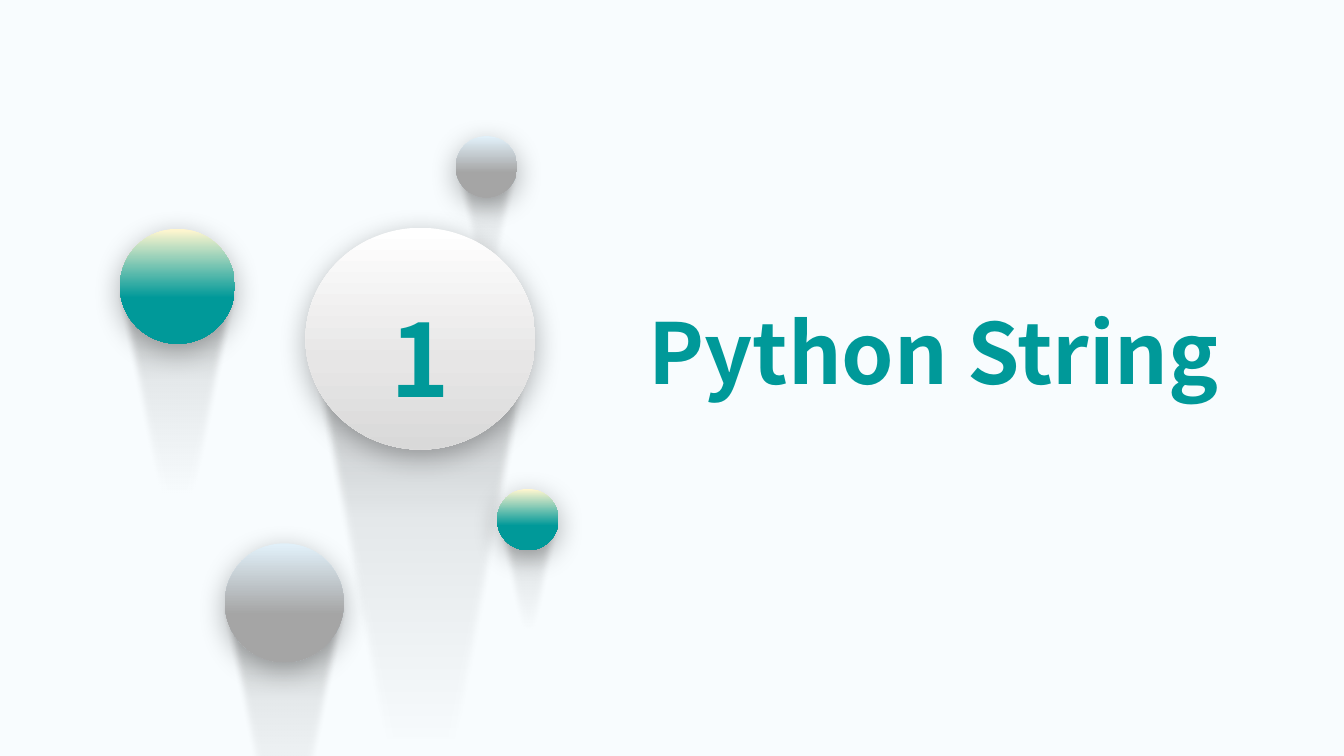
from lxml import etree
from pptx import Presentation
from pptx.dml.color import RGBColor
from pptx.enum.shapes import MSO_SHAPE
from pptx.enum.text import MSO_ANCHOR, MSO_AUTO_SIZE, PP_ALIGN
from pptx.oxml import parse_xml
from pptx.oxml.ns import nsdecls, qn
from pptx.util import Inches, Pt

OVAL = MSO_SHAPE.OVAL
CENTER = PP_ALIGN.CENTER
MIDDLE, BOTTOM = MSO_ANCHOR.MIDDLE, MSO_ANCHOR.BOTTOM
GROW = MSO_AUTO_SIZE.SHAPE_TO_FIT_TEXT

FONT = "Noto Sans CJK SC"
PAPER = RGBColor(0xF8, 0xFC, 0xFE)
TEAL = RGBColor(0x00, 0x99, 0x99)
CREAM = RGBColor(0xFF, 0xF6, 0xCF)
GRAY = RGBColor(0xA5, 0xA5, 0xA5)
ICE = RGBColor(0xE1, 0xF0, 0xF9)
WHITE = RGBColor(0xFF, 0xFF, 0xFF)
PEARL = RGBColor(0xE7, 0xE6, 0xE6)
SILVER = RGBColor(0xD9, 0xD9, 0xD9)
BLACK = RGBColor(0x00, 0x00, 0x00)
COAL = RGBColor(0x26, 0x26, 0x26)

TEAL_BALL = [(1, CREAM, 100), (60, TEAL, 100), (100, TEAL, 100)]
GRAY_BALL = [(1, ICE, 100), (60, GRAY, 100), (100, GRAY, 100)]
MAIN_BALL = [(0, WHITE, 100), (60, PEARL, 100), (100, SILVER, 100)]
FADE = [(30, BLACK, 0), (50, BLACK, 4), (70, BLACK, 8), (100, COAL, 30)]

RISE = [(0.17, 0.67), (0.46, -0.02), (0.5, 0)]
FALL = [(0.54, -0.02), (0.83, 0.67), (1, 1)]

BALLS = [
    ((4.52, 1.35, 0.61, 0.61), (4.49, 1.66, 0.68, 1.66), GRAY_BALL, ""),
    ((3.03, 2.26, 2.28, 2.2), (3.02, 3.35, 2.3, 5.94), MAIN_BALL, "1"),
    ((2.23, 5.39, 1.18, 1.18), (2.17, 5.98, 1.31, 3.2), GRAY_BALL, ""),
    ((4.93, 4.85, 0.61, 0.61), (4.9, 5.16, 0.68, 1.66), TEAL_BALL, ""),
    ((1.19, 2.27, 1.14, 1.14), (1.13, 2.85, 1.26, 3.09), TEAL_BALL, ""),
]


def paint(shape, stops):
    shape.line.fill.background()
    shape.shadow.inherit = False
    shape.fill.background()
    marks = "".join(
        f'<a:gs pos="{pos * 1000}"><a:srgbClr val="{color}">'
        f'<a:alpha val="{alpha * 1000}"/></a:srgbClr></a:gs>'
        for pos, color, alpha in stops)
    grad = parse_xml(
        f'<a:gradFill {nsdecls("a")} rotWithShape="1"><a:gsLst>{marks}</a:gsLst>'
        '<a:lin ang="5400000" scaled="0"/></a:gradFill>')
    props = shape._element.spPr
    props.replace(props.find(qn("a:noFill")), grad)
    return props.find(qn("a:effectLst"))


def style(frame, size):
    for para in frame.paragraphs:
        para.alignment = CENTER
        for run in para.runs:
            run.font.name = FONT
            run.font.size = Pt(size)
            run.font.bold = True
            run.font.color.rgb = TEAL
            face = etree.SubElement(run.font._element, qn("a:ea"))
            face.set("typeface", FONT)


def curve(shape, bends):
    lines = list(shape._element.iter(qn("a:lnTo")))
    for line, bend in zip(lines, bends):
        arc = etree.Element(qn("a:cubicBezTo"))
        for x, y in bend:
            etree.SubElement(arc, qn("a:pt"), x=str(round(x * shape.width)),
                             y=str(round(y * shape.height)))
        line.getparent().replace(line, arc)


def add_tail(group, box):
    left, top, width, height = map(Inches, box)
    base = top + height
    pen = group.shapes.build_freeform(left, base)
    pen.add_line_segments(
        [(left + width // 2, top), (left + width, base), (left, base)], close=True)
    tail = pen.convert_to_shape()
    curve(tail, [RISE, FALL])
    tail.rotation = 180
    effect = paint(tail, FADE)
    etree.SubElement(effect, qn("a:softEdge"), rad=str(Pt(5)))


def add_ball(group, box, stops, label):
    ball = group.shapes.add_shape(OVAL, *map(Inches, box))
    effect = paint(ball, stops)
    effect.append(parse_xml(
        f'<a:outerShdw {nsdecls("a")} blurRad="{Pt(20)}" dist="{Pt(5)}" '
        'dir="5400000" algn="t" rotWithShape="0"><a:srgbClr val="000000">'
        '<a:alpha val="30000"/></a:srgbClr></a:outerShdw>'))
    if label:
        frame = ball.text_frame
        frame.text = label
        frame.vertical_anchor = MIDDLE
        frame.paragraphs[0].line_spacing = 1.3
        style(frame, 72)


def add_title(slide, text):
    box = slide.shapes.add_textbox(
        Inches(6.25), Inches(2.92), Inches(6.02), Inches(1.11))
    frame = box.text_frame
    frame.text = text
    frame.word_wrap = False
    frame.auto_size = GROW
    frame.vertical_anchor = BOTTOM
    style(frame, 60)


def main():
    deck = Presentation()
    deck.slide_width, deck.slide_height = Inches(13.33), Inches(7.5)
    slide = deck.slides.add_slide(deck.slide_layouts[6])
    back = slide.background.fill
    back.solid()
    back.fore_color.rgb = PAPER
    for ball, tail, stops, label in BALLS:
        group = slide.shapes.add_group_shape()
        add_tail(group, tail)
        add_ball(group, ball, stops, label)
    add_title(slide, "Python String")
    deck.save("out.pptx")


if __name__ == "__main__":
    main()
